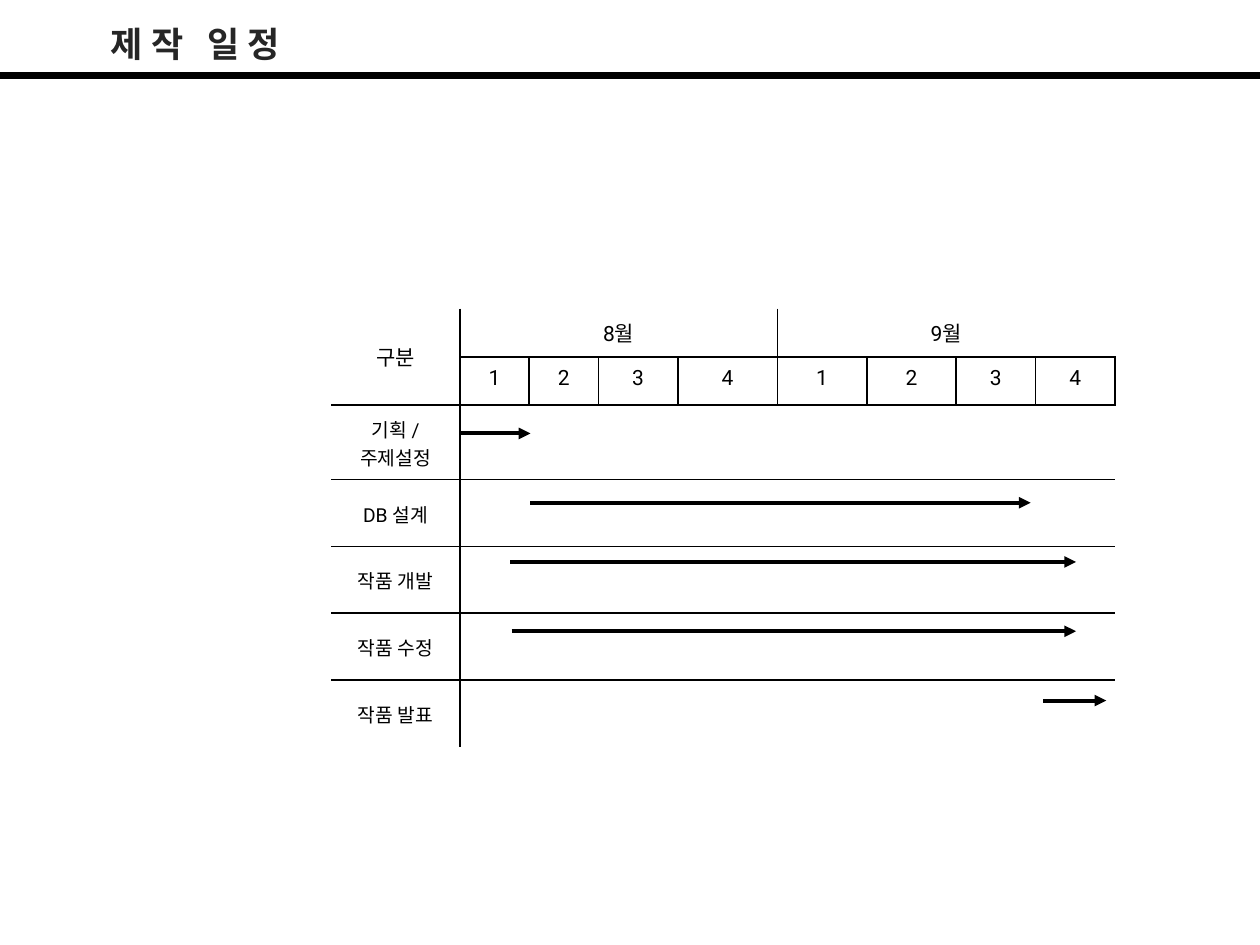
from pptx import Presentation, util as u
from pptx.dml.color import RGBColor
from pptx.enum import shapes, text
from pptx.oxml.ns import qn
from lxml import etree

BLACK = "000000"


def color(code):
    return RGBColor.from_string(code)


class Deck:
    """Holds the style and the current slide."""
    font = "Roboto"

    def __init__(self, width, height):
        self.prs = Presentation()
        self.prs.slide_width = u.Inches(width)
        self.prs.slide_height = u.Inches(height)
        self.slide = self.prs.slides.add_slide(self.prs.slide_layouts[5])

    def words(self, frame, lines, size, align, code=BLACK, bold=False):
        """Fill a text frame, one paragraph a line; return the runs."""
        runs = []
        for i, line in enumerate(lines):
            para = frame.add_paragraph() if i else frame.paragraphs[0]
            para.alignment = align
            run = para.add_run()
            run.text = line
            run.font.name, run.font.size = self.font, u.Pt(size)
            run.font.bold = bold
            run.font.color.rgb = color(code)
            runs.append(run)
        return runs

    def title(self, label, left, top, width, height):
        box = self.slide.shapes.title
        box.left, box.top = u.Inches(left), u.Inches(top)
        box.width, box.height = u.Inches(width), u.Inches(height)
        frame = box.text_frame
        frame.word_wrap = True
        frame.auto_size = text.MSO_AUTO_SIZE.NONE
        frame.vertical_anchor = text.MSO_ANCHOR.TOP
        runs = self.words(frame, [label], 20, text.PP_ALIGN.LEFT, "262626", True)
        runs[0].font._element.set("spc", "450")

    def line(self, start, end, y, weight, arrow=False):
        """Draw a level line, with an arrowhead at its end if asked."""
        line = self.slide.shapes.add_connector(
            shapes.MSO_CONNECTOR.STRAIGHT,
            u.Inches(start), u.Inches(y), u.Inches(end), u.Inches(y))
        line.line.width = u.Pt(weight)
        line.line.color.rgb = color(BLACK)
        props = line._element.spPr
        if arrow:
            etree.SubElement(props.find(qn("a:ln")), qn("a:tailEnd"),
                             type="triangle")
        etree.SubElement(props, qn("a:effectLst"))

    def table(self, left, top, cols, rows):
        frame = self.slide.shapes.add_table(
            len(rows), len(cols), u.Inches(left), u.Inches(top),
            u.Inches(sum(cols)), u.Inches(sum(rows)))
        grid = frame.table
        grid.first_row = grid.horz_banding = False
        for col, width in zip(grid.columns, cols):
            col.width = u.Inches(width)
        for row, height in zip(grid.rows, rows):
            row.height = u.Inches(height)
        return grid

    def edges(self, cell, shown):
        """Border the named sides (of L, R, T, B) and clear the others."""
        props = cell._tc.get_or_add_tcPr()
        for side in "LRTB":
            ln = etree.SubElement(props, qn("a:ln" + side), w=str(u.Pt(1)))
            if side in shown:
                fill = etree.SubElement(ln, qn("a:solidFill"))
                etree.SubElement(fill, qn("a:srgbClr"), val=BLACK)
            else:
                etree.SubElement(ln, qn("a:noFill"))

    def cell(self, cell, lines, size, top=0.07, middle=True):
        cell.margin_left = cell.margin_right = u.Inches(0.1)
        cell.margin_top, cell.margin_bottom = u.Inches(top), u.Inches(0.07)
        cell.vertical_anchor = (
            text.MSO_ANCHOR.MIDDLE if middle else text.MSO_ANCHOR.TOP)
        self.words(cell.text_frame, lines, size, text.PP_ALIGN.CENTER)


def right(r, c):
    """Is there a rule to the right of this grid cell?"""
    return c == 0 or r == 1 or (r == 0 and c in (4, 8))


def below(r, c):
    """Is there a rule below this grid cell?"""
    return r < 6 and (r, c) != (0, 0)


def main():
    deck = Deck(10, 7.5)

    # Heading and its rule
    deck.title("제작 일정", 0.78, 0.13, 8.45, 0.44)
    deck.line(-0.05, 10.01, 0.6, 4)

    # Schedule grid
    cols = [1.02, 0.55, 0.55, 0.63, 0.79, 0.71, 0.71, 0.63, 0.63]
    rows = [0.35] * 2 + [0.53] * 5
    grid = deck.table(2.63, 2.45, cols, rows)
    for r in range(len(rows)):
        for c in range(len(cols)):
            tests = {"L": c > 0 and right(r, c - 1), "R": right(r, c),
                     "T": r > 0 and below(r - 1, c), "B": below(r, c)}
            cell = grid.cell(r, c)
            deck.edges(cell, [side for side, on in tests.items() if on])
            cell.fill.solid()
            cell.fill.fore_color.rgb = color("FFFFFF")

    # Header: months over weeks
    grid.cell(0, 0).merge(grid.cell(1, 0))
    deck.cell(grid.cell(0, 0), ["구분"], 12)
    for first, month in ((1, "8월"), (5, "9월")):
        grid.cell(0, first).merge(grid.cell(0, first + 3))
        deck.cell(grid.cell(0, first), [month], 12)
        for week in range(4):
            deck.cell(grid.cell(1, first + week), [str(week + 1)], 12,
                      middle=False)

    # Tasks, each with its span: start, end, height
    tasks = [
        (["기획 /", "주제설정"], 3.66, 4.21, 3.44),
        (["DB 설계"], 4.21, 8.18, 3.99),
        (["작품 개발"], 4.05, 8.54, 4.46),
        (["작품 수정"], 4.06, 8.54, 5.01),
        (["작품 발표"], 8.28, 8.78, 5.56),
    ]
    for r, (name, start, end, y) in enumerate(tasks, 2):
        grid.cell(r, 1).merge(grid.cell(r, 8))
        deck.cell(grid.cell(r, 0), name, 11, top=0.08)
        deck.line(start, end, y, 2.25, arrow=True)

    deck.prs.save("out.pptx")


if __name__ == "__main__":
    main()
